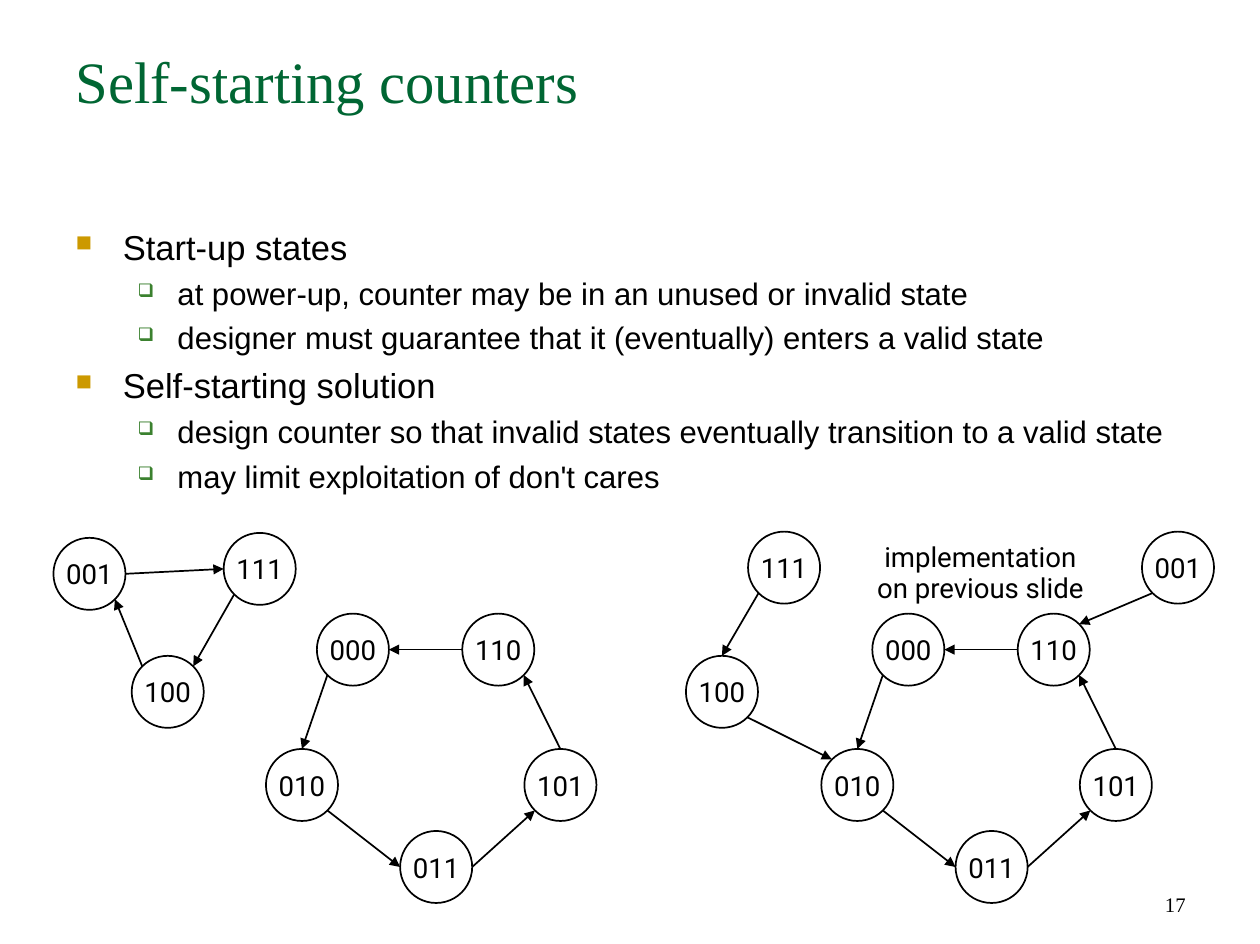
"""Build the slide on self-starting counters with its two state diagrams."""
from math import sqrt

from lxml.etree import SubElement
from pptx import Presentation
from pptx.dml.color import RGBColor
from pptx.enum.shapes import MSO_CONNECTOR as CONNECTOR, MSO_SHAPE as SHAPE
from pptx.enum.text import MSO_ANCHOR as ANCHOR, PP_ALIGN as ALIGN
from pptx.oxml.ns import qn
from pptx.util import Inches, Pt

BLACK = RGBColor(0x00, 0x00, 0x00)
TITLE_GREEN = RGBColor(0x00, 0x66, 0x33)
BULLET_GOLD = RGBColor(0xCC, 0x99, 0x00)
BULLET_GREEN = RGBColor(0x3B, 0x81, 0x2F)

TITLE_FONT = {"name": "Times New Roman", "size": Pt(34)}
NUMBER_FONT = {"name": "Times New Roman", "size": Pt(12)}
STATE_FONT = {"name": "Roboto", "size": Pt(16)}

DIAMETER = 0.58
RADIUS = DIAMETER / 2
DIAGONAL = RADIUS / sqrt(2)
SITES = {
    "N": (0, -RADIUS), "E": (RADIUS, 0), "W": (-RADIUS, 0),
    "NE": (DIAGONAL, -DIAGONAL), "NW": (-DIAGONAL, -DIAGONAL),
    "SE": (DIAGONAL, DIAGONAL), "SW": (-DIAGONAL, DIAGONAL),
}


def add_text(paragraph, text, font, color=BLACK):
    run = paragraph.add_run()
    run.text = text
    for key, value in font.items():
        setattr(run.font, key, value)
    run.font.color.rgb = color


def add_box(left, top, width, height, **frame_format):
    box = slide.shapes.add_textbox(Inches(left), Inches(top), Inches(width), Inches(height))
    for key, value in {"word_wrap": True, **frame_format}.items():
        setattr(box.text_frame, key, value)
    return box.text_frame


presentation = Presentation()
presentation.slide_width = Inches(10.14)
presentation.slide_height = Inches(7.6)
slide = presentation.slides.add_slide(presentation.slide_layouts[6])

number = add_box(7.27, 6.92, 2.37, 0.51, vertical_anchor=ANCHOR.BOTTOM).paragraphs[0]
number.alignment = ALIGN.RIGHT
add_text(number, "17", NUMBER_FONT)

title = add_box(0.51, 0.31, 9.12, 1.26).paragraphs[0]
add_text(title, "Self-starting counters", TITLE_FONT, TITLE_GREEN)

LEVELS = [
    {"size": 20, "left": 0.38, "hang": 0.38, "bullet": "■", "color": BULLET_GOLD, "percent": 65},
    {"size": 18, "left": 0.82, "hang": 0.32, "bullet": "❑", "color": BULLET_GREEN, "percent": 60},
]
POINTS = [
    (0, "Start-up states"),
    (1, "at power-up, counter may be in an unused or invalid state"),
    (1, "designer must guarantee that it (eventually) enters a valid state"),
    (0, "Self-starting solution"),
    (1, "design counter so that invalid states eventually transition to a valid state"),
    (1, "may limit exploitation of don't cares"),
]
body = add_box(0.51, 1.77, 9.12, 5.02)
for index, (level, text) in enumerate(POINTS):
    style = LEVELS[level]
    paragraph = body.add_paragraph() if index else body.paragraphs[0]
    paragraph.level = level
    properties = paragraph._p.get_or_add_pPr()
    properties.set("marL", str(Inches(style["left"])))
    properties.set("indent", str(-Inches(style["hang"])))
    bullet_color = SubElement(properties, qn("a:buClr"))
    SubElement(bullet_color, qn("a:srgbClr"), val=str(style["color"]))
    SubElement(properties, qn("a:buSzPct"), val=str(style["percent"] * 1000))
    SubElement(properties, qn("a:buChar"), char=style["bullet"])
    if index:
        paragraph.space_before = Pt(style["size"] * 0.23)
    add_text(paragraph, text, {"name": "Arial", "size": Pt(style["size"])})

caption = add_box(
    6.77, 4.33, 2.24, 0.64, word_wrap=False,
    margin_left=Inches(0.02), margin_right=Inches(0.02),
    margin_top=Inches(0.03), margin_bottom=Inches(0.03),
)
for index, text in enumerate(["implementation", "on previous slide"]):
    paragraph = caption.add_paragraph() if index else caption.paragraphs[0]
    paragraph.alignment = ALIGN.CENTER
    paragraph.line_spacing = Pt(18)
    add_text(paragraph, text, STATE_FONT)

RING_STATES = {
    "010": (0, 1.09), "000": (0.41, 0), "110": (1.58, 0), "101": (2.08, 1.09), "011": (1.08, 1.75),
}
RING_ARROWS = [
    ("000", "SW", "010", "N"), ("010", "SE", "011", "W"), ("011", "E", "101", "SW"),
    ("101", "N", "110", "SE"), ("110", "W", "000", "E"),
]
DIAGRAMS = [
    {
        "ring": (6.61, 4.94),
        "states": {"001": (9.19, 4.28), "111": (6.02, 4.28), "100": (5.52, 5.28)},
        "arrows": [("001", "SW", "110", "NE"), ("111", "SW", "100", "N"), ("100", "SE", "010", "NW")],
    },
    {
        "ring": (2.14, 4.94),
        "states": {"001": (0.43, 4.33), "111": (1.8, 4.29), "100": (1.06, 5.28)},
        "arrows": [("111", "SW", "100", "NE"), ("001", "E", "111", "W"), ("100", "NW", "001", "SE")],
    },
]
for diagram in DIAGRAMS:
    ring_left, ring_top = diagram["ring"]
    states = {name: (ring_left + x, ring_top + y) for name, (x, y) in RING_STATES.items()}
    states.update(diagram["states"])
    for name, (left, top) in states.items():
        circle = slide.shapes.add_shape(
            SHAPE.OVAL, Inches(left), Inches(top), Inches(DIAMETER), Inches(DIAMETER))
        circle.shadow.inherit = False
        circle.fill.background()
        circle.line.color.rgb = BLACK
        circle.line.width = Pt(1)
        circle.text_frame.word_wrap = False
        circle.text_frame.vertical_anchor = ANCHOR.MIDDLE
        paragraph = circle.text_frame.paragraphs[0]
        paragraph.alignment = ALIGN.CENTER
        add_text(paragraph, name, STATE_FONT)

    for start, start_site, end, end_site in RING_ARROWS + diagram["arrows"]:
        ends = []
        for name, site in ((start, start_site), (end, end_site)):
            for corner, offset in zip(states[name], SITES[site]):
                ends.append(Inches(corner + RADIUS + offset))
        arrow = slide.shapes.add_connector(CONNECTOR.STRAIGHT, *ends)
        arrow.line.color.rgb = BLACK
        arrow.line.width = Pt(1)
        SubElement(arrow.line._get_or_add_ln(), qn("a:tailEnd"), type="triangle")
        SubElement(arrow._element.spPr, qn("a:effectLst"))

presentation.save("out.pptx")
